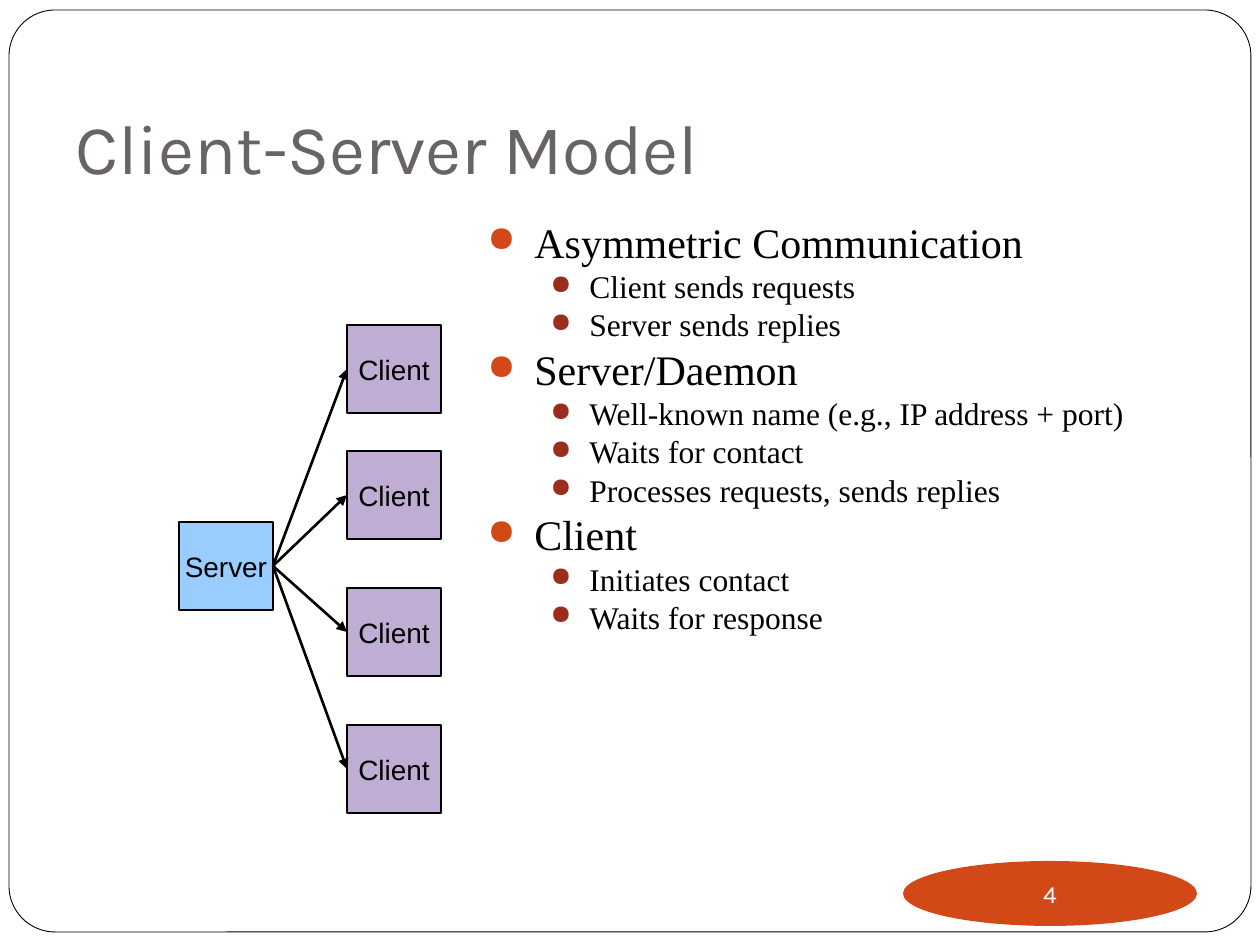
from dataclasses import dataclass

from lxml import etree
from pptx import Presentation
from pptx import util as u
from pptx.dml.color import RGBColor
from pptx.enum import shapes, text
from pptx.oxml import ns

PX = 914400 / 126


def px(length: int) -> u.Emu:
    return u.Emu(round(length * PX))


@dataclass(frozen=True)
class Theme:
    ink: str = "000000"
    paper: str = "FFFFFF"
    heading: str = "696464"
    accent: str = "D34817"
    server: str = "99CCFF"
    client: str = "BFADD3"
    heading_font: str = "Karla"
    body_font: str = "Times New Roman"
    label_font: str = "Arial"
    title_size: int = 40
    label_size: int = 16
    number_size: int = 14
    line_width: float = 1.5
    frame_width: float = 0.5


@dataclass(frozen=True)
class Level:
    size: int
    margin: int
    hanging: int
    space_before: float
    bullet: str


@dataclass(frozen=True)
class Area:
    left: int
    top: int
    width: int
    height: int


@dataclass(frozen=True)
class Node:
    label: str
    fill: str
    area: Area


THEME = Theme()
TOPIC = Level(24, 47, 47, 6, THEME.accent)
DETAIL = Level(18, 102, 39, 4.5, "9B2D1F")

OUTLINE = {
    "Asymmetric Communication": ["Client sends requests", "Server sends replies"],
    "Server/Daemon": [
        "Well-known name (e.g., IP address + port)",
        "Waits for contact",
        "Processes requests, sends replies",
    ],
    "Client": ["Initiates contact", "Waits for response"],
}

SERVER = Node("Server", THEME.server, Area(179, 522, 94, 88))
CLIENTS = [
    Node("Client", THEME.client, Area(347, top, 94, 88))
    for top in (325, 451, 588, 725)
]


def style_runs(paragraph, font: str, size: int, color: str) -> None:
    for run in paragraph.runs:
        run.font.name = font
        run.font.size = u.Pt(size)
        run.font.color.rgb = RGBColor.from_string(color)


def add_block(slide, kind, area: Area, fill: str, line_width: float = 0):
    block = slide.shapes.add_shape(
        kind, px(area.left), px(area.top), px(area.width), px(area.height))
    block.shadow.inherit = False
    block.fill.solid()
    block.fill.fore_color.rgb = RGBColor.from_string(fill)
    if line_width:
        block.line.color.rgb = RGBColor.from_string(THEME.ink)
        block.line.width = u.Pt(line_width)
    else:
        block.line.fill.background()
    return block


def set_label(block, label: str, font: str, size: int, color: str) -> None:
    frame = block.text_frame
    frame.text = label
    frame.word_wrap = False
    frame.vertical_anchor = text.MSO_ANCHOR.MIDDLE
    frame.paragraphs[0].alignment = text.PP_ALIGN.CENTER
    style_runs(frame.paragraphs[0], font, size, color)


def add_node(slide, node: Node):
    box = add_block(slide, shapes.MSO_SHAPE.RECTANGLE, node.area, node.fill,
                    THEME.line_width)
    set_label(box, node.label, THEME.label_font, THEME.label_size, THEME.ink)
    return box


def add_arrow(slide, source, target) -> None:
    arrow = slide.shapes.add_connector(shapes.MSO_CONNECTOR.STRAIGHT, 0, 0, 0, 0)
    arrow.begin_connect(source, 3)
    arrow.end_connect(target, 1)
    arrow.line.color.rgb = RGBColor.from_string(THEME.ink)
    arrow.line.width = u.Pt(THEME.line_width)
    etree.SubElement(arrow.line._get_or_add_ln(), ns.qn("a:tailEnd"), type="triangle")
    etree.SubElement(arrow._element.spPr, ns.qn("a:effectLst"))


def add_text_area(slide, area: Area):
    frame = slide.shapes.add_textbox(
        px(area.left), px(area.top), px(area.width), px(area.height)).text_frame
    frame.word_wrap = True
    return frame


def format_bullet(paragraph, level: Level) -> None:
    paragraph.line_spacing = 0.8
    paragraph.space_before = u.Pt(level.space_before)
    style_runs(paragraph, THEME.body_font, level.size, THEME.ink)
    props = paragraph._p.get_or_add_pPr()
    props.set("marL", str(px(level.margin)))
    props.set("indent", str(px(-level.hanging)))
    color = etree.SubElement(props, ns.qn("a:buClr"))
    etree.SubElement(color, ns.qn("a:srgbClr"), val=level.bullet)
    etree.SubElement(props, ns.qn("a:buSzPct"), val="85000")
    etree.SubElement(props, ns.qn("a:buChar"), char="●")


def add_outline(slide, area: Area) -> None:
    frame = add_text_area(slide, area)
    entries = []
    for topic, details in OUTLINE.items():
        entries.append((topic, TOPIC))
        entries.extend((detail, DETAIL) for detail in details)
    for index, (wording, level) in enumerate(entries):
        paragraph = frame.add_paragraph() if index else frame.paragraphs[0]
        paragraph.text = wording
        paragraph.level = 1 if level is DETAIL else 0
        format_bullet(paragraph, level)


def main() -> None:
    deck = Presentation()
    deck.slide_width, deck.slide_height = px(1260), px(945)
    slide = deck.slides.add_slide(deck.slide_layouts[6])

    # Rounded page frame
    page = add_block(slide, shapes.MSO_SHAPE.ROUNDED_RECTANGLE,
                     Area(9, 10, 1242, 922), THEME.paper, THEME.frame_width)
    page.adjustments[0] = 0.05

    # Title
    title = add_text_area(slide, Area(63, 38, 1134, 157))
    title.text = "Client-Server Model"
    title.vertical_anchor = text.MSO_ANCHOR.BOTTOM
    style_runs(title.paragraphs[0], THEME.heading_font, THEME.title_size, THEME.heading)

    # Bulleted outline
    add_outline(slide, Area(475, 220, 722, 624))

    # Diagram: one server linked to every client
    server = add_node(slide, SERVER)
    clients = [add_node(slide, client) for client in CLIENTS]
    for client in clients:
        add_arrow(slide, server, client)

    # Slide number
    badge = add_block(slide, shapes.MSO_SHAPE.OVAL, Area(903, 861, 294, 65), THEME.accent)
    frame = badge.text_frame
    frame.margin_left = frame.margin_right = frame.margin_top = frame.margin_bottom = 0
    set_label(badge, "4", THEME.heading_font, THEME.number_size, THEME.paper)

    deck.save("out.pptx")


if __name__ == "__main__":
    main()
